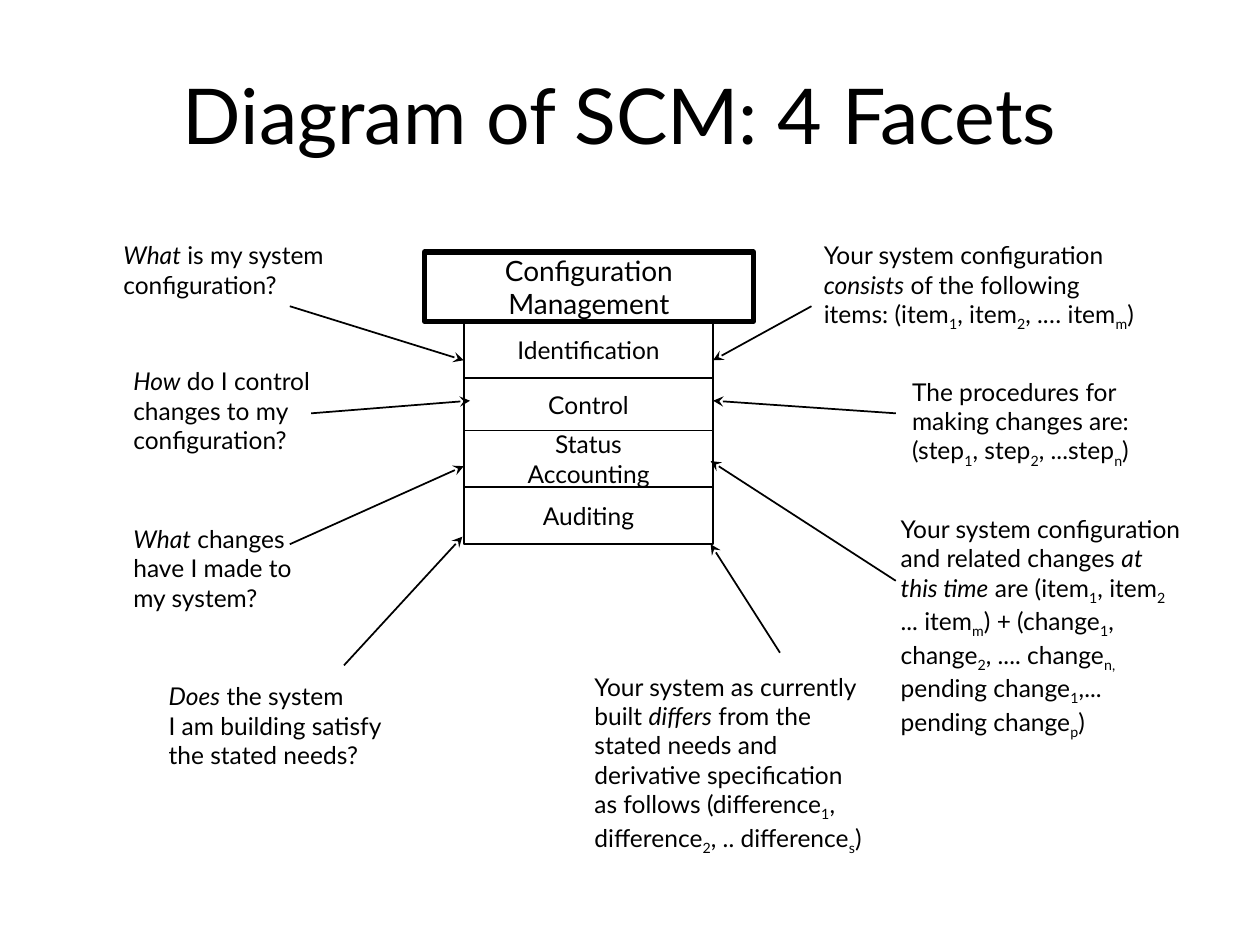
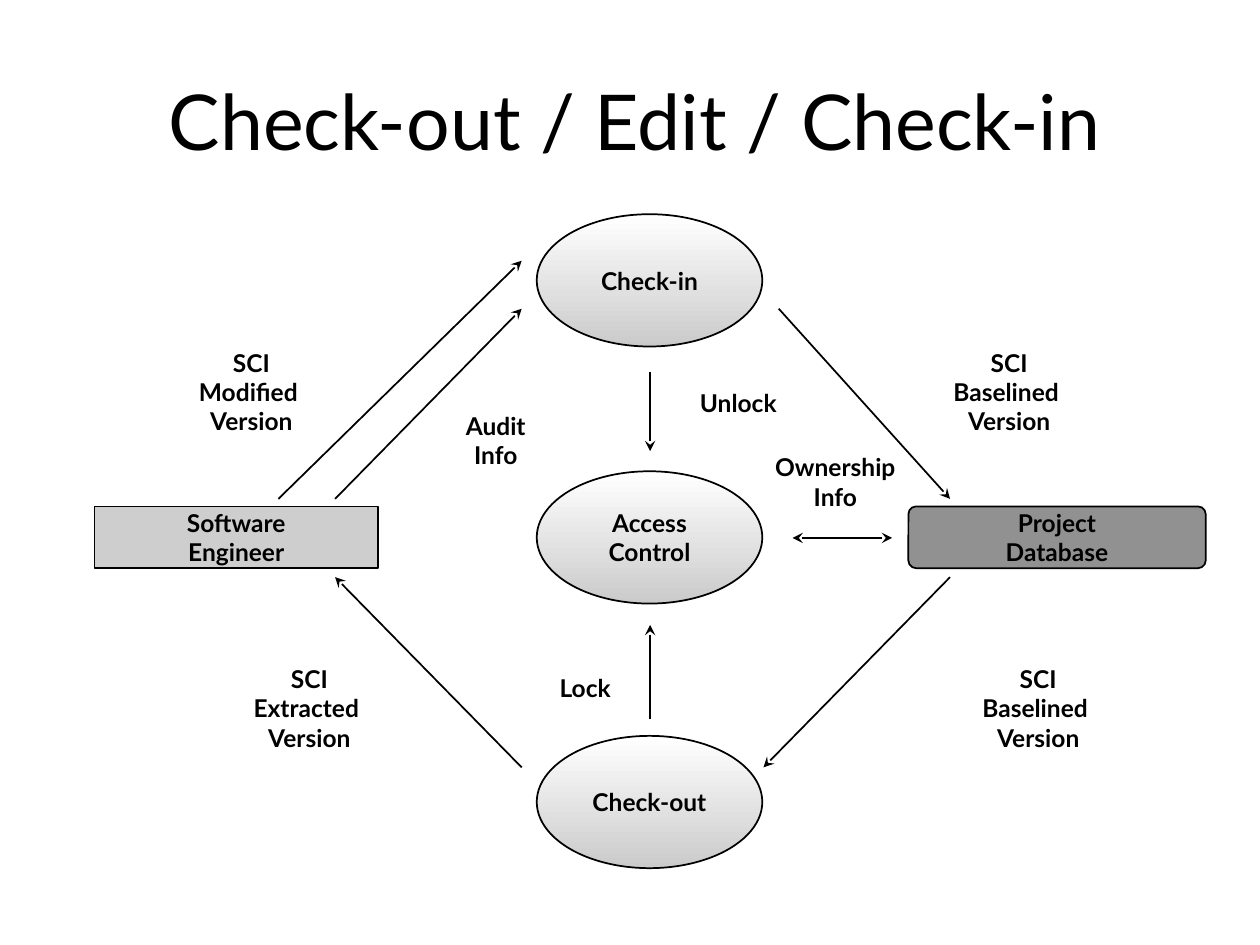
from dataclasses import dataclass

from lxml.etree import SubElement
from pptx import Presentation
from pptx.dml.color import RGBColor
from pptx.enum.shapes import MSO_CONNECTOR, MSO_SHAPE
from pptx.enum.text import MSO_ANCHOR, MSO_AUTO_SIZE, PP_ALIGN
from pptx.oxml.ns import qn
from pptx.util import Pt

BLACK = RGBColor(0x00, 0x00, 0x00)
WHITE = RGBColor(0xFF, 0xFF, 0xFF)
SHADE = RGBColor(0xCB, 0xCB, 0xCB)
ENGINEER_GRAY = RGBColor(0xCE, 0xCE, 0xCE)
DATABASE_GRAY = RGBColor(0x91, 0x91, 0x91)
FONT = "Lato"
TITLE_SIZE, HEAD_SIZE, BODY_SIZE = 44, 16, 14


# All measures are points; in texts *...* is italic and _..._ is subscript.
@dataclass
class Label:
    text: str
    left: float
    top: float
    width: float
    height: float
    wrap: bool = False


@dataclass
class Node:
    text: str
    left: float
    top: float
    width: float
    height: float
    kind: MSO_SHAPE = MSO_SHAPE.RECTANGLE
    fill: RGBColor | None = None
    shaded: bool = False
    line_width: float = 1
    size: float = BODY_SIZE
    bold: bool = False


@dataclass
class Arrow:
    start: tuple[float, float]
    end: tuple[float, float]
    both_ends: bool = False


def write_text(text_frame, text: str, size: float, align: PP_ALIGN, bold: bool = False) -> None:
    """Fill a frame, one paragraph per line, turning marks into run formats."""
    for number, line in enumerate(text.split("\n")):
        paragraph = text_frame.paragraphs[0] if number == 0 else text_frame.add_paragraph()
        paragraph.alignment = align
        font = paragraph.font
        font.name, font.size, font.bold = FONT, Pt(size), bold
        font.color.rgb = BLACK
        for part_number, part in enumerate(line.split("_")):
            for piece_number, piece in enumerate(part.split("*")):
                if not piece:
                    continue
                run = paragraph.add_run()
                run.text = piece
                if piece_number % 2:
                    run.font.italic = True
                if part_number % 2:
                    run._r.get_or_add_rPr().set("baseline", "-25000")


def add_title(slide, text: str, left: float, top: float, width: float, height: float) -> None:
    shape = slide.shapes.add_textbox(Pt(left), Pt(top), Pt(width), Pt(height))
    shape.text_frame.word_wrap = True
    shape.text_frame.vertical_anchor = MSO_ANCHOR.MIDDLE
    write_text(shape.text_frame, text, TITLE_SIZE, PP_ALIGN.CENTER)


def add_label(slide, label: Label, align: PP_ALIGN, bold: bool = False) -> None:
    shape = slide.shapes.add_textbox(
        Pt(label.left), Pt(label.top), Pt(label.width), Pt(label.height))
    shape.text_frame.word_wrap = label.wrap
    shape.text_frame.auto_size = MSO_AUTO_SIZE.SHAPE_TO_FIT_TEXT
    write_text(shape.text_frame, label.text, BODY_SIZE, align, bold)


def add_node(slide, node: Node) -> None:
    shape = slide.shapes.add_shape(
        node.kind, Pt(node.left), Pt(node.top), Pt(node.width), Pt(node.height))
    shape.shadow.inherit = False
    if node.kind == MSO_SHAPE.ROUNDED_RECTANGLE:
        shape.adjustments[0] = 0.125
    if node.shaded:
        shape.fill.gradient()
        shape.fill.gradient_angle = 270
        for stop, color in zip(shape.fill.gradient_stops, (WHITE, SHADE)):
            stop.color.rgb = color
    elif node.fill is not None:
        shape.fill.solid()
        shape.fill.fore_color.rgb = node.fill
    else:
        shape.fill.background()
    shape.line.color.rgb = BLACK
    shape.line.width = Pt(node.line_width)
    shape.text_frame.word_wrap = False
    shape.text_frame.vertical_anchor = MSO_ANCHOR.MIDDLE
    write_text(shape.text_frame, node.text, node.size, PP_ALIGN.CENTER, node.bold)


def add_arrow(slide, arrow: Arrow) -> None:
    connector = slide.shapes.add_connector(
        MSO_CONNECTOR.STRAIGHT, *map(Pt, arrow.start + arrow.end))
    connector.line.color.rgb = BLACK
    connector.line.width = Pt(1)
    line = connector.line._get_or_add_ln()
    for end in ("a:headEnd", "a:tailEnd") if arrow.both_ends else ("a:tailEnd",):
        SubElement(line, qn(end), type="stealth")
    SubElement(connector._element.spPr, qn("a:effectLst"))


# Slide 1: stack of facets, with questions on the left and answers on the right
STACK_LEFT, STACK_TOP, STACK_WIDTH = 265, 183.6, 142.6
FACETS = [("Identification", 32.4), ("Control", 30), ("Status\nAccounting", 32.4), ("Auditing", 32.4)]
QUESTIONS_AND_ANSWERS = [
    Label("*What* is my system\nconfiguration?", 63.4, 133.9, 139.7, 41),
    Label("*How* do I control\nchanges to my\nconfiguration?", 69.1, 205.9, 125.3, 57.6),
    Label("*What* changes\nhave I made to\nmy system?", 69.1, 295.9, 116.6, 57.6),
    Label("*Does* the system\nI am building satisfy\nthe stated needs?", 89.3, 385.9, 151.2, 57.6),
    Label("Your system configuration\n"
          "*consists* of the following items: (item_1_, item_2_, .… item_m_)",
          463.7, 133.9, 199.4, 79.2, wrap=True),
    Label("The procedures for\nmaking changes are:\n(step_1_, step_2_, ...step_n_)",
          514.1, 211.7, 154.8, 59.8, wrap=True),
    Label("Your system configuration\nand related changes *at*\n"
          "*this time* are (item_1_, item_2_\n... item_m_) + (change_1_,\n"
          "change_2_, .... change_n,_\npending change_1_,...\npending change_p_)",
          507.6, 290.2, 192.2, 136.1),
    Label("Your system as currently\nbuilt *differs* from the\nstated needs and\n"
          "derivative specification\nas follows (difference_1_,\n"
          "difference_2_, .. difference_s_)",
          332.6, 380.2, 180.7, 113),
]
FACET_ARROWS = [
    Arrow((165.6, 175), (265, 205.9)),
    Arrow((177.8, 236.2), (268.6, 229)),
    Arrow((165.6, 311), (265, 266.4)),
    Arrow((196.6, 380.2), (264.2, 306.7)),
    Arrow((463.7, 175), (407.5, 205.9)),
    Arrow((511.9, 236.2), (407.5, 229)),
    Arrow((511.9, 331.9), (406.1, 263.5)),
    Arrow((445.7, 373), (406.1, 311)),
]


def build_facets(slide) -> None:
    add_title(slide, "Diagram of SCM: 4 Facets", 48.2, 20.2, 612, 90)
    for arrow in FACET_ARROWS:
        add_arrow(slide, arrow)
    add_node(slide, Node("Configuration\nManagement", 242.6, 144, 187.9, 39.6,
                         line_width=3, size=HEAD_SIZE))
    top = STACK_TOP
    for text, height in FACETS:
        add_node(slide, Node(text, STACK_LEFT, top, STACK_WIDTH, height))
        top += height
    for label in QUESTIONS_AND_ANSWERS:
        add_label(slide, label, PP_ALIGN.LEFT)


# Slide 2: cycle between engineer and database around access control
AXIS_X = 371.5
OVAL_LEFT, OVAL_WIDTH, OVAL_HEIGHT = 306.7, 128.9, 75.6
OVALS = [("Check-in", 122.4), ("Access\nControl", 269.3), ("Check-out", 420.5)]
BOX_TOP, BOX_HEIGHT = 289.4, 35.3
# Shared arrow ends: next to the boxes and next to the ovals
ABOVE_BOX, BELOW_BOX = 285.1, 329.8
ENGINEER_X, DATABASE_X = 191.5, 542.9
CHECK_IN_Y, CHECK_OUT_Y, OVAL_SIDE_X = 176.4, 438.5, 298.1
CYCLE_ARROWS = [
    Arrow((AXIS_X, 212.4), (AXIS_X, 257.8)),
    Arrow((AXIS_X, 411.1), (AXIS_X, 357.1)),
    Arrow((452.9, 307.4), (509.8, 307.4), both_ends=True),
    Arrow((445, CHECK_IN_Y), (DATABASE_X, ABOVE_BOX)),
    Arrow((DATABASE_X, BELOW_BOX), (436.3, CHECK_OUT_Y)),
    Arrow((OVAL_SIDE_X, CHECK_OUT_Y), (ENGINEER_X, BELOW_BOX)),
    Arrow((ENGINEER_X, ABOVE_BOX), (OVAL_SIDE_X, CHECK_IN_Y)),
    Arrow((159.1, ABOVE_BOX), (OVAL_SIDE_X, 149)),
]
FLOW_LABELS = [
    Label("Audit\nInfo", 257, 231.1, 52.6, 41),
    Label("Ownership\nInfo", 432, 254.9, 90.7, 41),
    Label("SCI\nModified \nVersion", 103.7, 195.1, 79.9, 57.6),
    Label("SCI\nBaselined \nVersion", 533.5, 195.1, 86.4, 57.6),
    Label("SCI\nBaselined \nVersion", 550.1, 375.8, 86.4, 57.6),
    Label("SCI\nExtracted \nVersion", 133.9, 375.8, 85.7, 57.6),
    Label("Unlock", 390.2, 218.2, 63.4, 23.8),
    Label("Lock", 311, 380.9, 46.8, 23.8),
]


def build_cycle(slide) -> None:
    add_title(slide, "Check-out / Edit / Check-in", 42.5, 31.7, 640.8, 73.4)
    for text, top in OVALS:
        add_node(slide, Node(text, OVAL_LEFT, top, OVAL_WIDTH, OVAL_HEIGHT,
                             MSO_SHAPE.OVAL, shaded=True, bold=True))
    add_node(slide, Node("Software\nEngineer", 54, BOX_TOP, 162, BOX_HEIGHT,
                         fill=ENGINEER_GRAY, bold=True))
    add_node(slide, Node("Project\nDatabase", 519.1, BOX_TOP, 169.9, BOX_HEIGHT,
                         MSO_SHAPE.ROUNDED_RECTANGLE, DATABASE_GRAY, bold=True))
    for arrow in CYCLE_ARROWS:
        add_arrow(slide, arrow)
    for label in FLOW_LABELS:
        add_label(slide, label, PP_ALIGN.CENTER, bold=True)


def main() -> None:
    presentation = Presentation()
    presentation.slide_width, presentation.slide_height = Pt(720), Pt(540)
    blank_layout = presentation.slide_layouts[6]
    for build in (build_facets, build_cycle):
        build(presentation.slides.add_slide(blank_layout))
    presentation.save("out.pptx")


if __name__ == "__main__":
    main()
